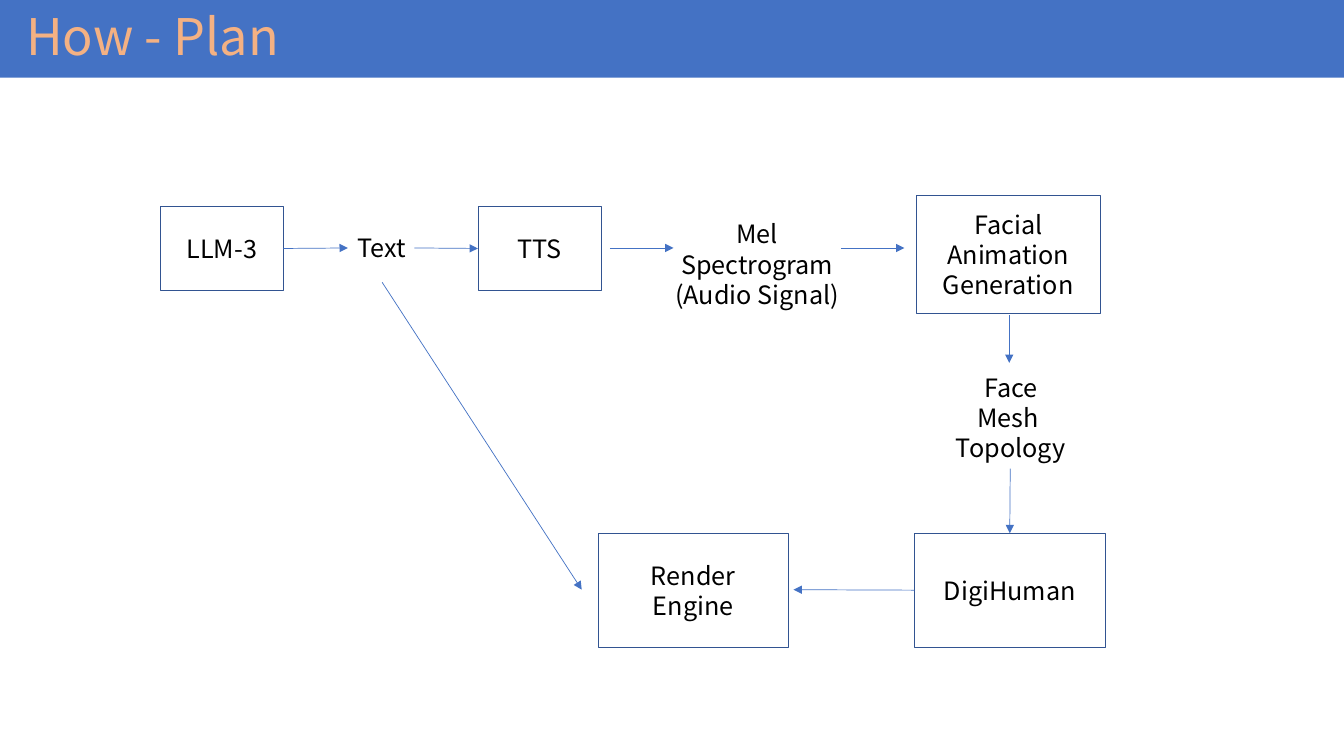
from lxml import etree
from pptx import Presentation
from pptx.dml.color import RGBColor
from pptx.enum import shapes, text
from pptx.oxml import ns
from pptx.util import Inches, Pt

COLORS = {
    "banner": "4472C4",
    "title": "F4B183",
    "border": "325491",
    "arrow": "4472C4",
    "text": "000000",
}
FONT = "Noto Sans CJK KR"


def color(name):
    return RGBColor.from_string(COLORS[name])


def write(shape, lines, size, color_name, alignment):
    frame = shape.text_frame
    frame.word_wrap = True
    for index, line in enumerate(lines):
        paragraph = frame.paragraphs[0] if index == 0 else frame.add_paragraph()
        paragraph.alignment = alignment
        run = paragraph.add_run()
        run.text = line
        run.font.size = Pt(size)
        run.font.name = FONT
        run.font.color.rgb = color(color_name)


presentation = Presentation()
presentation.slide_width = Inches(13.33)
presentation.slide_height = Inches(7.5)
slide = presentation.slides.add_slide(presentation.slide_layouts[6])

steps = [
    ("LLM-3", 1.59, 2.05, 1.22, 0.83),
    ("Facial Animation Generation", 9.09, 1.94, 1.82, 1.17),
    ("TTS", 4.74, 2.05, 1.22, 0.83),
    ("DigiHuman", 9.07, 5.29, 1.89, 1.13),
    ("Render Engine", 5.93, 5.29, 1.89, 1.13),
]
boxes = {}
for name, left, top, width, height in steps:
    box = slide.shapes.add_shape(
        shapes.MSO_SHAPE.RECTANGLE, Inches(left), Inches(top), Inches(width), Inches(height)
    )
    box.shadow.inherit = False
    box.fill.background()
    box.line.color.rgb = color("border")
    box.line.width = Pt(0.25)
    box.text_frame.vertical_anchor = text.MSO_ANCHOR.MIDDLE
    write(box, [name], 18, "text", text.PP_ALIGN.CENTER)
    boxes[name] = box

labels = [
    (["Text"], 3.45, 2.26, 1.47, 0.4, 18, "text", text.PP_ALIGN.LEFT),
    (["Mel", "Spectrogram", "(Audio Signal)"], 6.45, 2.12, 2.12, 1.01, 18, "text", text.PP_ALIGN.CENTER),
    (["Face", "Mesh ", "Topology"], 8.97, 3.64, 2.11, 1.01, 18, "text", text.PP_ALIGN.CENTER),
    (["How - Plan"], 0.16, 0, 4.5, 0.71, 36, "title", text.PP_ALIGN.LEFT),
]

banner = slide.shapes.add_shape(
    shapes.MSO_SHAPE.RECTANGLE, 0, 0, presentation.slide_width, Inches(0.77)
)
banner.shadow.inherit = False
banner.fill.solid()
banner.fill.fore_color.rgb = color("banner")
banner.line.fill.background()

for lines, left, top, width, height, size, color_name, alignment in labels:
    label = slide.shapes.add_textbox(Inches(left), Inches(top), Inches(width), Inches(height))
    label.text_frame.auto_size = text.MSO_AUTO_SIZE.SHAPE_TO_FIT_TEXT
    write(label, lines, size, color_name, alignment)

arrows = [
    (2.82, 2.47, 3.45, 2.46, ("LLM-3", 3), None),
    (4.11, 2.46, 4.74, 2.46, None, ("TTS", 1)),
    (6.05, 2.46, 6.68, 2.46, None, None),
    (8.34, 2.46, 8.97, 2.46, None, None),
    (10.01, 3.13, 10.01, 3.6, None, None),
    (10.02, 4.65, 10.02, 5.29, None, ("DigiHuman", 0)),
    (9.07, 5.85, 7.87, 5.85, ("DigiHuman", 1), None),
    (3.79, 2.8, 5.77, 5.85, None, None),
]
for start_x, start_y, end_x, end_y, source, target in arrows:
    arrow = slide.shapes.add_connector(
        shapes.MSO_CONNECTOR.STRAIGHT,
        Inches(start_x), Inches(start_y), Inches(end_x), Inches(end_y),
    )
    if source:
        arrow.begin_connect(boxes[source[0]], source[1])
    if target:
        arrow.end_connect(boxes[target[0]], target[1])
    arrow.line.color.rgb = color("arrow")
    arrow.line.width = Pt(0.5)
    etree.SubElement(arrow.line._get_or_add_ln(), ns.qn("a:tailEnd"), type="triangle")
    etree.SubElement(arrow._element.spPr, ns.qn("a:effectLst"))

presentation.save("out.pptx")
